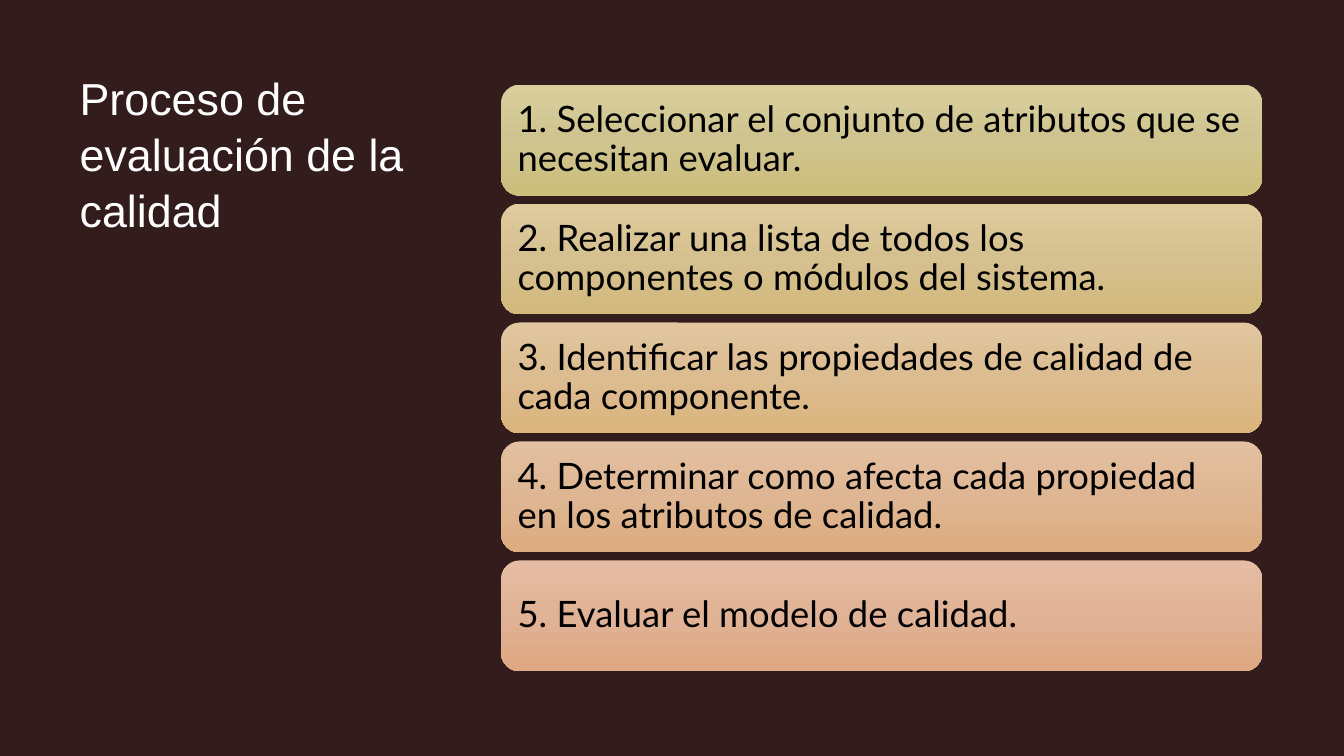
from copy import deepcopy
from pptx import Presentation
from pptx.dml.color import RGBColor
from pptx.enum.shapes import MSO_SHAPE
from pptx.enum.text import MSO_ANCHOR, PP_ALIGN
from pptx.oxml.ns import qn
from pptx.util import Inches, Pt

# Content: each step with its gradient colours, top to bottom
TITLE = "Proceso de evaluación de la calidad"
STEPS = [
    ("1. Seleccionar el conjunto de atributos que se necesitan evaluar.",
     ("D9CF9D", "CFC490", "CCBE7B")),
    ("2. Realizar una lista de todos los componentes o módulos del sistema.",
     ("DFCB9D", "D5C090", "D3B97C")),
    ("3. Identificar las propiedades de calidad de cada componente.",
     ("E1C69F", "DCBC91", "DBB47C")),
    ("4. Determinar como afecta cada propiedad en los atributos de calidad.",
     ("E3C0A1", "DEB693", "DDAC7F")),
    ("5. Evaluar el modelo de calidad.",
     ("E5BDA4", "E0B296", "DFA782")),
]
BROWN = RGBColor(0x32, 0x1C, 0x1C)
WHITE = RGBColor(0xFF, 0xFF, 0xFF)
BLACK = RGBColor(0, 0, 0)

# Layout in inches
LEFT, TOP, WIDTH, HEIGHT, PITCH = 4.97, 0.84, 7.55, 1.1, 1.18
INSET = 0.11


def write(frame, text, font, size, color, inset, anchor, space):
    frame.word_wrap = True
    frame.vertical_anchor = anchor
    frame.margin_left = frame.margin_right = Inches(inset)
    frame.margin_top = frame.margin_bottom = Inches(inset)
    par = frame.paragraphs[0]
    par.alignment = PP_ALIGN.LEFT
    par.line_spacing = space
    run = par.add_run()
    run.text = text
    run.font.name = font
    run.font.size = Pt(size)
    run.font.color.rgb = color


def shade(shape, colors):
    fill = shape.fill
    fill.gradient()
    fill.gradient_angle = 270
    # The default gradient has two stops; add a middle one
    stops = shape._element.spPr.find(qn("a:gradFill")).find(qn("a:gsLst"))
    stops.insert(1, deepcopy(stops[0]))
    for i, (stop, color) in enumerate(zip(fill.gradient_stops, colors)):
        stop.position = i / 2
        stop.color.rgb = RGBColor.from_string(color)


# Slide and background
prs = Presentation()
prs.slide_width, prs.slide_height = Inches(13.33), Inches(7.5)
slide = prs.slides.add_slide(prs.slide_layouts[6])
slide.background.fill.solid()
slide.background.fill.fore_color.rgb = BROWN

# Title
title = slide.shapes.add_textbox(
    Inches(0.79), Inches(0.68), Inches(3.4), Inches(6.03))
write(title.text_frame, TITLE, "Arial", 32, WHITE, 0, MSO_ANCHOR.TOP, 1.04)

# Step cards
for i, (text, colors) in enumerate(STEPS):
    card = slide.shapes.add_shape(
        MSO_SHAPE.ROUNDED_RECTANGLE, Inches(LEFT), Inches(TOP + i * PITCH),
        Inches(WIDTH), Inches(HEIGHT))
    card.shadow.inherit = False
    card.line.fill.background()
    shade(card, colors)
    write(card.text_frame, text, "Lato", 26, BLACK, INSET,
          MSO_ANCHOR.MIDDLE, 0.9)

prs.save("out.pptx")
